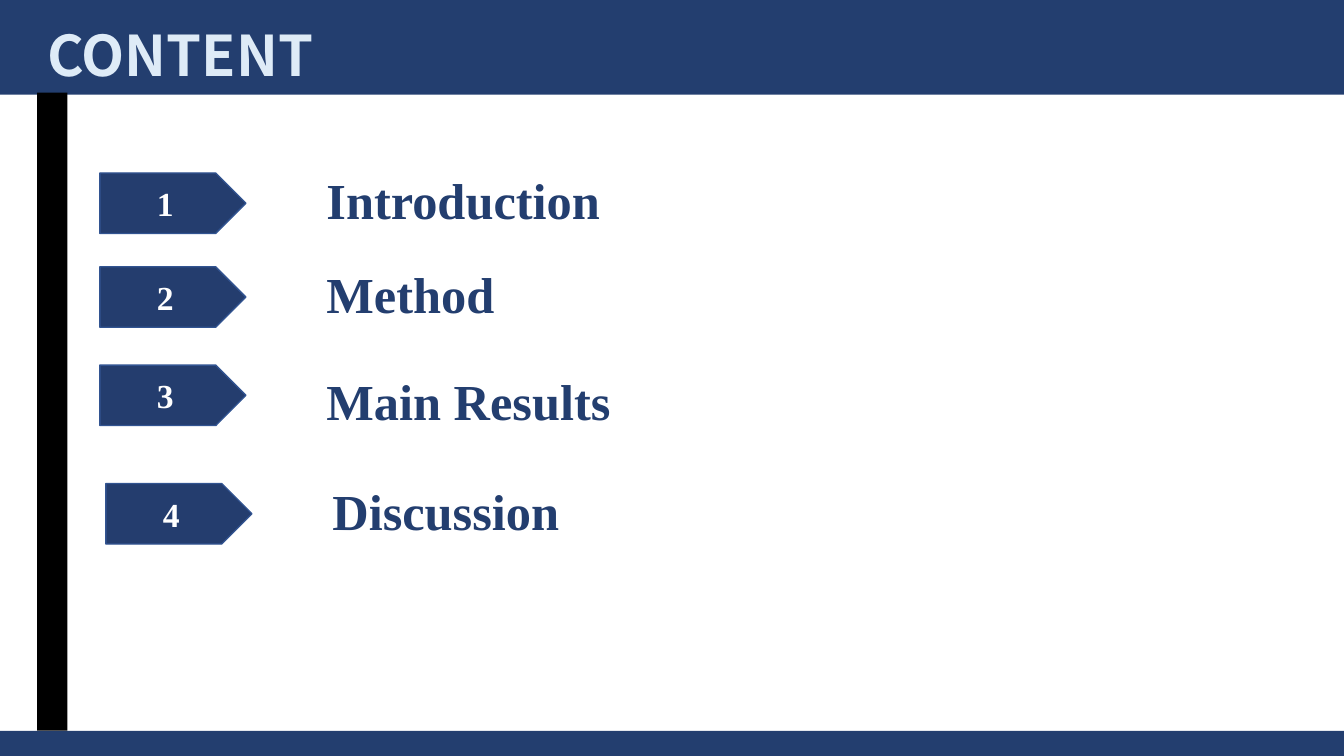
"""Build a contents slide with four numbered sections."""
from pptx import Presentation
from pptx.dml.color import RGBColor
from pptx.enum.shapes import MSO_SHAPE
from pptx.enum.text import MSO_ANCHOR, MSO_AUTO_SIZE, PP_ALIGN
from pptx.util import Pt

TITLE = "CONTENT"
ITEMS = [
    ("1", "Introduction", 71.3, 123.6, 1),
    ("2", "Method", 71.3, 190.6, 1),
    ("3", "Main Results", 71.3, 260.8, 1.14),
    ("4", "Discussion", 75.6, 345.4, 1),
]
COLORS = {"navy": "233E6F", "tag": "243D6E", "edge": "325491",
          "pale": "DEEBF7", "white": "FFFFFF", "black": "000000"}
SERIF, SANS = "Times New Roman", "Noto Sans CJK SC"
WIDTH, HEIGHT = 960, 540
HEAD, FOOT = 67.6, 522
BARS = [
    (0, 0, WIDTH, HEAD, "navy"),
    (0, FOOT, WIDTH, HEIGHT - FOOT, "navy"),
    (26.6, 66.2, 21.6, FOOT - 66.2, "black"),
]
TAG_W, TAG_H = 104.4, 43.2
LABEL_DX, LABEL_DY = 154.8, -6.2
LABEL_W, LABEL_H = 715, 51


def color(name):
    return RGBColor.from_string(COLORS[name])


def block(shapes, kind, left, top, width, height, fill):
    shape = shapes.add_shape(kind, Pt(left), Pt(top), Pt(width), Pt(height))
    shape.shadow.inherit = False
    shape.fill.solid()
    shape.fill.fore_color.rgb = color(fill)
    shape.line.fill.background()
    return shape


def write(shape, text, size, face, hue, align, anchor, space=1):
    frame = shape.text_frame
    frame.text = text
    frame.word_wrap = True
    frame.auto_size = MSO_AUTO_SIZE.NONE
    frame.vertical_anchor = anchor
    para = frame.paragraphs[0]
    para.alignment = align
    para.line_spacing = space
    para.font.size = Pt(size)
    para.font.name = face
    para.font.bold = True
    para.font.color.rgb = color(hue)


def main():
    deck = Presentation()
    deck.slide_width, deck.slide_height = Pt(WIDTH), Pt(HEIGHT)
    slide = deck.slides.add_slide(deck.slide_layouts[5])
    shapes = slide.shapes
    title = shapes.title
    for *place, fill in BARS:
        block(shapes, MSO_SHAPE.RECTANGLE, *place, fill)

    title.left, title.top = Pt(26.6), Pt(4.3)
    title.width, title.height = Pt(464.4), Pt(59.8)
    write(title, TITLE, 40, SANS, "pale", PP_ALIGN.LEFT, MSO_ANCHOR.TOP, 1.14)
    title.element.getparent().append(title.element)

    for number, name, left, top, space in ITEMS:
        group = shapes.add_group_shape().shapes
        tag = block(group, MSO_SHAPE.PENTAGON, left, top, TAG_W, TAG_H, "tag")
        tag.line.color.rgb = color("edge")
        tag.line.width = Pt(1)
        write(tag, number, 24, SERIF, "white", PP_ALIGN.CENTER,
              MSO_ANCHOR.MIDDLE)
        label = group.add_textbox(Pt(left + LABEL_DX), Pt(top + LABEL_DY),
                                  Pt(LABEL_W), Pt(LABEL_H))
        write(label, name, 36, SERIF, "navy", PP_ALIGN.LEFT,
              MSO_ANCHOR.TOP, space)

    deck.save("out.pptx")


if __name__ == "__main__":
    main()
